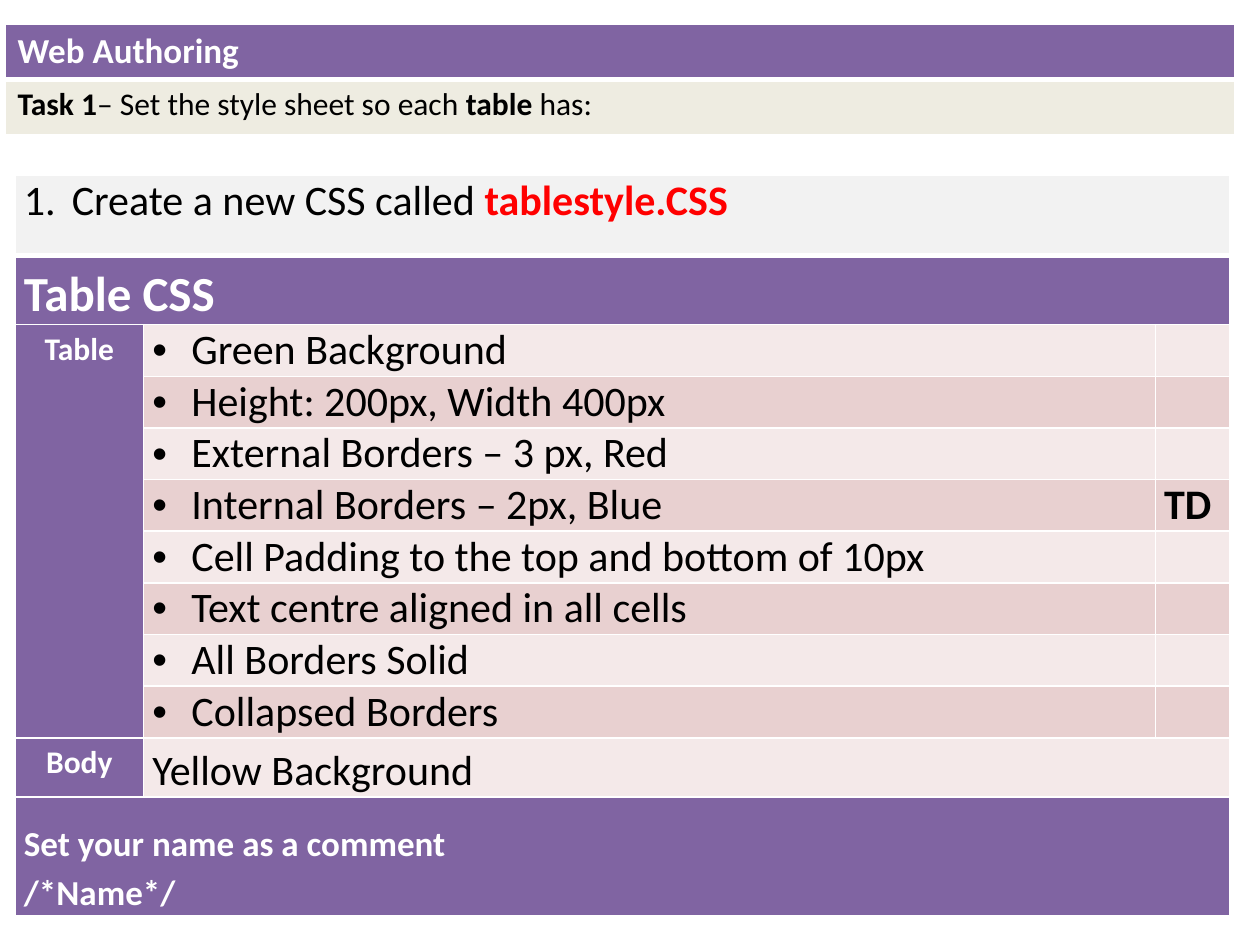
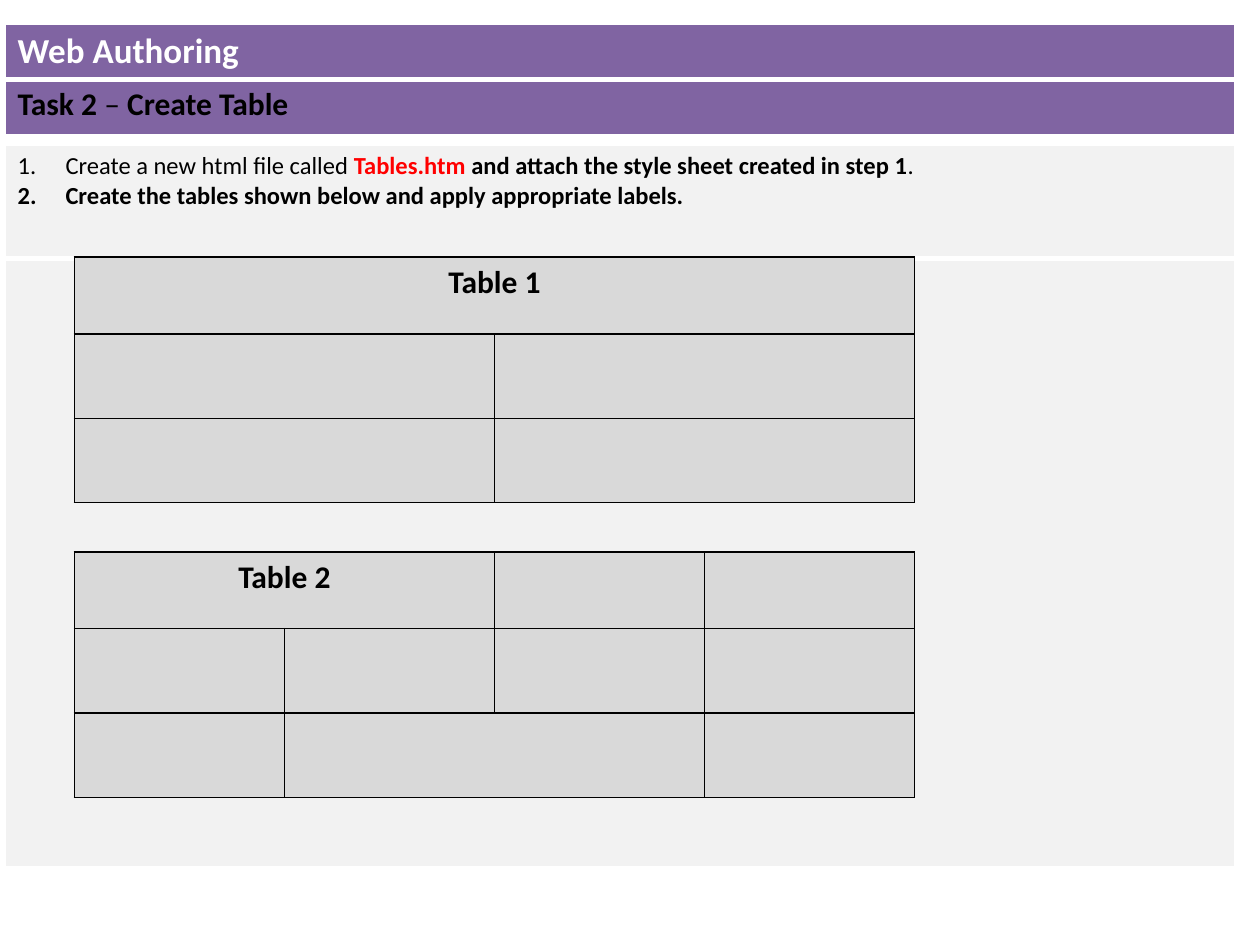
"""Build two worksheet slides about styling and creating web page tables."""
from lxml import etree
from pptx import Presentation
from pptx import util as u
from pptx.dml.color import RGBColor
from pptx.enum import text
from pptx.oxml.ns import qn

FONT = "Calibri"
PURPLE, CREAM, PALE, GREY = "8064A2", "EEECE1", "F2F2F2", "D9D9D9"
STRIPES = ["F4E9E9", "E8D0D0"]
WHITE, BLACK, RED = "FFFFFF", "000000", "FF0000"
BAND_LEFT, BAND_WIDTH = 0.04, 9.76
TIGHT = (0.07, 0)
ROOMY = (0.1, 0.05)


def add_grid(slide, left, top, columns, rows, fill, border=WHITE, header_line=1):
    """Add a table with one fill and plain borders, and return it."""
    frame = slide.shapes.add_table(
        len(rows), len(columns), u.Inches(left), u.Inches(top),
        u.Inches(sum(columns)), u.Inches(sum(rows)))
    table = frame.table
    for column, width in zip(table.columns, columns):
        column.width = u.Inches(width)
    for number, (row, height) in enumerate(zip(table.rows, rows)):
        row.height = u.Inches(height)
        for cell in row.cells:
            properties = cell._tc.get_or_add_tcPr()
            for side in "LRTB":
                under_header = (number, side) in [(0, "B"), (1, "T")]
                width = header_line if under_header else 1
                line = etree.SubElement(properties, qn(f"a:ln{side}"), w=str(u.Pt(width)))
                solid = etree.SubElement(line, qn("a:solidFill"))
                etree.SubElement(solid, qn("a:srgbClr"), val=border)
            cell.fill.solid()
            cell.fill.fore_color.rgb = RGBColor.from_string(fill)
    return table


def write(cell, paragraphs, size, margins=ROOMY, align=None, spacing=None,
          bullet=None, indent=0.38):
    """Fill a cell with paragraphs, each a list of (words, colour, bold) runs."""
    cell.margin_left = cell.margin_right = u.Inches(margins[0])
    cell.margin_top = cell.margin_bottom = u.Inches(margins[1])
    frame = cell.text_frame
    for number, runs in enumerate(paragraphs):
        paragraph = frame.add_paragraph() if number else frame.paragraphs[0]
        paragraph.alignment = align
        paragraph.line_spacing = spacing
        if bullet:
            properties = paragraph._p.get_or_add_pPr()
            properties.set("marL", str(u.Inches(indent)))
            properties.set("indent", str(-u.Inches(indent)))
            if bullet == "1.":
                etree.SubElement(properties, qn("a:buAutoNum"), type="arabicPeriod")
            else:
                etree.SubElement(properties, qn("a:buFont"), typeface="Arial")
                etree.SubElement(properties, qn("a:buChar"), char=bullet)
        for words, colour, bold in runs:
            run = paragraph.add_run()
            run.text = words
            run.font.name = FONT
            run.font.size = u.Pt(size)
            run.font.bold = bold
            run.font.color.rgb = RGBColor.from_string(colour)


presentation = Presentation()
presentation.slide_width, presentation.slide_height = u.Inches(10), u.Inches(7.5)

tasks = [
    (CREAM, [("Task 1", BLACK, True), ("– Set the style sheet so each ", BLACK, False),
             ("table", BLACK, True), (" has:", BLACK, False)]),
    (PURPLE, [("Task 2 ", BLACK, True), ("– ", BLACK, False), ("Create Table", BLACK, True)]),
]
slides = []
for task_fill, task_runs in tasks:
    slide = presentation.slides.add_slide(presentation.slide_layouts[6])
    banner = add_grid(slide, BAND_LEFT, 0.19, [BAND_WIDTH], [0.44, 0.44], PURPLE, header_line=3)
    write(banner.cell(0, 0), [[("Web Authoring", WHITE, True)]], 20)
    task_cell = banner.cell(1, 0)
    task_cell.fill.fore_color.rgb = RGBColor.from_string(task_fill)
    write(task_cell, [task_runs], 18)
    slides.append(slide)
style_slide, create_slide = slides

rules = [
    "Green Background",
    "Height: 200px, Width 400px",
    "External Borders – 3 px, Red",
    "Internal Borders – 2px, Blue",
    "Cell Padding to the top and bottom of 10px",
    "Text centre aligned in all cells",
    "All Borders Solid",
    "Collapsed Borders",
]
first_rule = 2
body_row = first_rule + len(rules)
comment_row = body_row + 1
row_heights = [0.64, 0.54] + [0.41] * len(rules) + [0.47, 0.94]
checklist = add_grid(style_slide, 0.12, 1.39, [1.02, 8.03, 0.59], row_heights, PURPLE,
                     header_line=3)
for row in (0, 1, comment_row):
    checklist.cell(row, 0).merge(checklist.cell(row, 2))
checklist.cell(first_rule, 0).merge(checklist.cell(body_row - 1, 0))
checklist.cell(body_row, 1).merge(checklist.cell(body_row, 2))

for column in range(3):
    checklist.cell(0, column).fill.fore_color.rgb = RGBColor.from_string(PALE)
for row in range(first_rule, comment_row):
    for column in (1, 2):
        stripe = STRIPES[(row - first_rule) % 2]
        checklist.cell(row, column).fill.fore_color.rgb = RGBColor.from_string(stripe)

write(checklist.cell(0, 0),
      [[("Create a new CSS called ", BLACK, False), ("tablestyle.CSS", RED, True)]],
      24, TIGHT, bullet="1.")
write(checklist.cell(1, 0), [[("Table CSS", WHITE, True)]], 28, TIGHT, spacing=1.15)
for row, label in [(first_rule, "Table"), (body_row, "Body")]:
    write(checklist.cell(row, 0), [[(label, WHITE, True)]], 18, TIGHT,
          align=text.PP_ALIGN.CENTER, spacing=1.15)
for row, rule in enumerate(rules, first_rule):
    write(checklist.cell(row, 1), [[(rule, BLACK, False)]], 24, TIGHT,
          bullet="•", indent=0.31)
internal_row = first_rule + rules.index("Internal Borders – 2px, Blue")
write(checklist.cell(internal_row, 2), [[("TD", BLACK, True)]], 24, TIGHT)
write(checklist.cell(body_row, 1), [[("Yellow Background", BLACK, False)]], 24, TIGHT,
      spacing=1.15)
comment_cell = checklist.cell(comment_row, 0)
comment_cell.vertical_anchor = text.MSO_ANCHOR.BOTTOM
write(comment_cell, [[("Set your name as a comment", WHITE, True)], [("/*Name*/", WHITE, True)]],
      20, TIGHT, spacing=1.15)

instructions = add_grid(create_slide, BAND_LEFT, 1.15, [BAND_WIDTH], [0.9, 4.83], PALE,
                        header_line=3)
write(instructions.cell(0, 0), [
    [("Create a new html file called ", BLACK, False), ("Tables.htm", RED, True),
     (" and attach the style sheet created in step 1", BLACK, True), (".", BLACK, False)],
    [("Create the tables shown below and apply appropriate labels.", BLACK, True)],
], 14, bullet="1.")

samples = [("Table 1", 2.04, 2, []), ("Table 2", 4.38, 4, [(2, 1)])]
for label, top, count, extra_merges in samples:
    sample = add_grid(create_slide, 0.59, top, [6.67 / count] * count, [0.61, 0.67, 0.67],
                      GREY, border=BLACK)
    for row, column in [(0, 0)] + extra_merges:
        sample.cell(row, column).merge(sample.cell(row, column + 1))
    write(sample.cell(0, 0), [[(label, BLACK, True)]], 18, align=text.PP_ALIGN.CENTER)

presentation.save("out.pptx")
